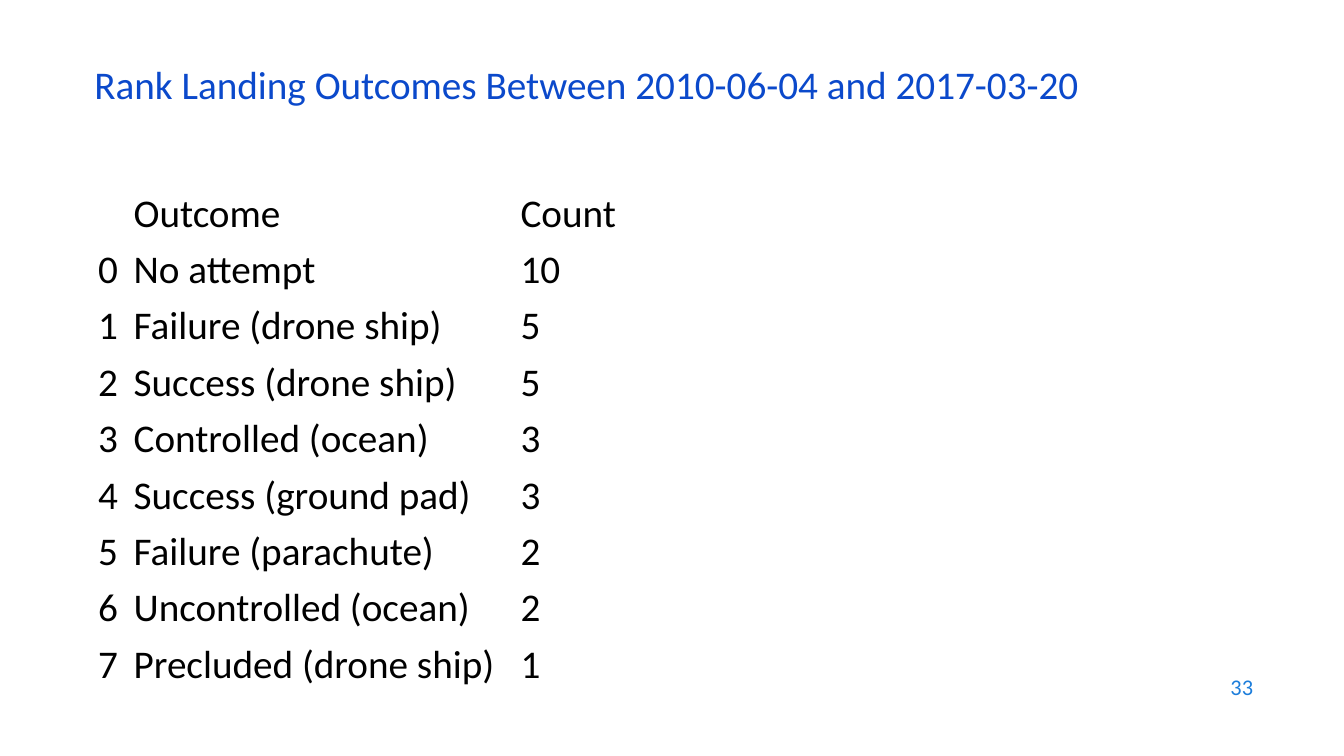
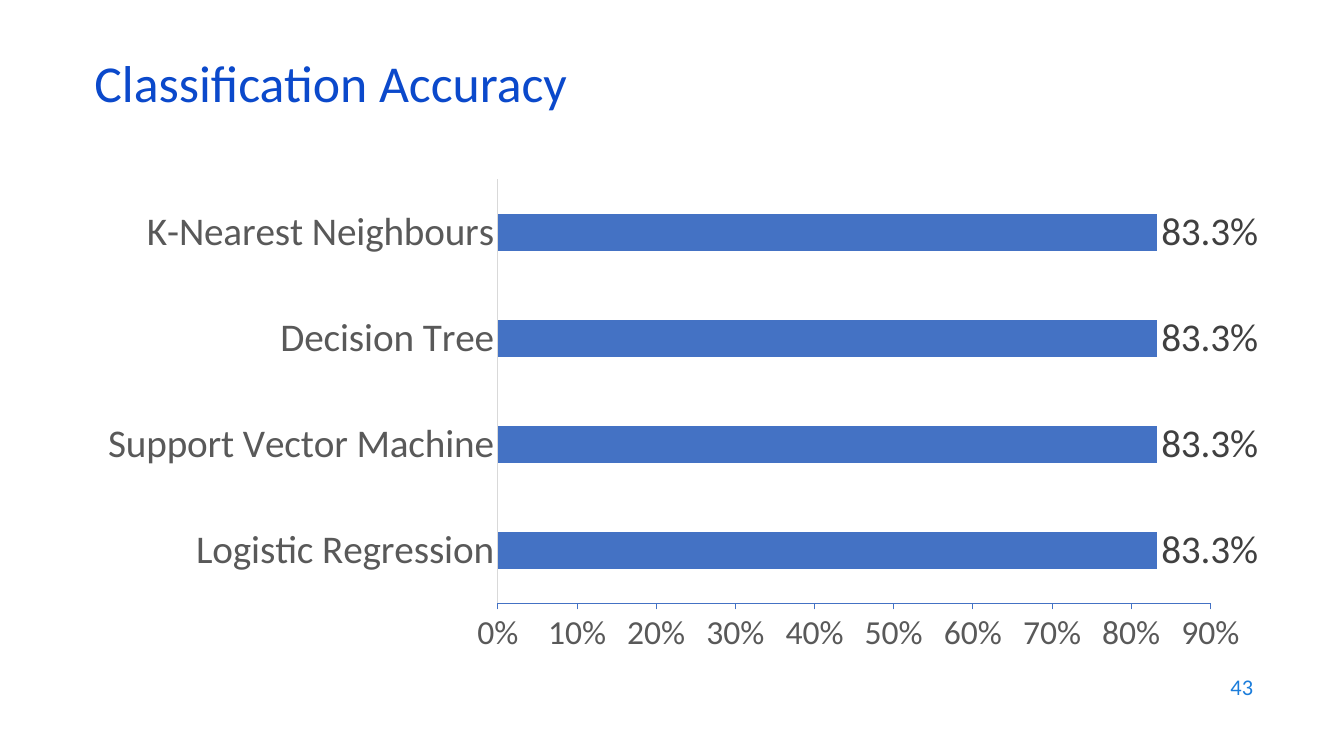
from pptx import Presentation
from pptx.chart.data import CategoryChartData
from pptx.dml.color import RGBColor
from pptx.enum.chart import XL_CHART_TYPE, XL_LABEL_POSITION, XL_TICK_MARK
from pptx.enum.text import MSO_ANCHOR, PP_ALIGN
from pptx.util import Cm, Pt

LEFT, RIGHT = PP_ALIGN.LEFT, PP_ALIGN.RIGHT
MIDDLE, BOTTOM = MSO_ANCHOR.MIDDLE, MSO_ANCHOR.BOTTOM
BAR_CLUSTERED = XL_CHART_TYPE.BAR_CLUSTERED
OUTSIDE_END = XL_LABEL_POSITION.OUTSIDE_END
TICK_NONE, TICK_OUTSIDE = XL_TICK_MARK.NONE, XL_TICK_MARK.OUTSIDE

FONT = "Calibri"
TITLE_BLUE, NUMBER_BLUE, BAR_BLUE = "0B49CB", "1C7DDB", "4472C4"
BLACK, LABEL_GREY, AXIS_GREY, AXIS_LINE = "000000", "404040", "595959", "D9D9D9"

CONTENT_LEFT, CONTENT_WIDTH = 2.13, 29.7
BODY_SIZE = 28

OUTCOME_COUNTS = [
    ("No attempt", 10),
    ("Failure (drone ship)", 5),
    ("Success (drone ship)", 5),
    ("Controlled (ocean)", 3),
    ("Success (ground pad)", 3),
    ("Failure (parachute)", 2),
    ("Uncontrolled (ocean)", 2),
    ("Precluded (drone ship)", 1),
]
MODEL_ACCURACY = {
    "Logistic Regression": 0.833,
    "Support Vector Machine": 0.833,
    "Decision Tree": 0.833,
    "K-Nearest Neighbours": 0.833,
}


def color(hex_value):
    return RGBColor.from_string(hex_value)


def apply(target, formats):
    """Set each named attribute of target to its format value."""
    for name, value in formats.items():
        setattr(target, name, value)


def style_font(font, size, hex_value):
    apply(font, {"name": FONT, "size": Pt(size), "bold": False})
    font.color.rgb = color(hex_value)


def add_text(slide, text, box, size, hex_value, **paragraph_formats):
    frame = slide.shapes.add_textbox(*map(Cm, box)).text_frame
    apply(frame, {"word_wrap": True, "vertical_anchor": MIDDLE})
    paragraph = frame.paragraphs[0]
    paragraph.text = text
    apply(paragraph, paragraph_formats)
    style_font(paragraph.font, size, hex_value)


def add_titled_slide(deck, title, title_size, number):
    slide = deck.slides.add_slide(deck.slide_layouts[6])
    add_text(slide, str(number), (24.21, 16.74, 7.62, 1.12), 16, NUMBER_BLUE,
             alignment=RIGHT)
    add_text(slide, title, (CONTENT_LEFT, 1.5, 29.21, 1.52), title_size,
             TITLE_BLUE, line_spacing=0.7)
    return slide


def fill_cell(cell, text, alignment, anchor):
    cell.fill.background()
    apply(cell, {"vertical_anchor": anchor,
                 "margin_left": Cm(0.2), "margin_right": Cm(0.2),
                 "margin_top": Cm(0.1), "margin_bottom": Cm(0.1)})
    paragraph = cell.text_frame.paragraphs[0]
    paragraph.text = text
    paragraph.alignment = alignment
    style_font(paragraph.font, BODY_SIZE, BLACK)


def add_ranking_table(slide, headers, ranking):
    """Add a plain table whose first column numbers the rows from zero."""
    rows = [("", *headers)]
    rows += [(str(rank), name, str(count))
             for rank, (name, count) in enumerate(ranking)]
    widths = [1.14, 9.75, 3.76]
    heights = [1.73] + [1.42] * len(ranking)
    table = slide.shapes.add_table(
        len(rows), len(widths), Cm(2.03), Cm(4.37),
        Cm(sum(widths)), Cm(sum(heights))).table
    apply(table, {"first_row": False, "horz_banding": False})
    for column, width in zip(table.columns, widths):
        column.width = Cm(width)
    for index, (row, height, texts) in enumerate(zip(table.rows, heights, rows)):
        row.height = Cm(height)
        anchor = MIDDLE if index else BOTTOM
        for cell, text, alignment in zip(row.cells, texts, (RIGHT, LEFT, LEFT)):
            fill_cell(cell, text, alignment, anchor)


def style_axis(axis, size, line_color, tick_mark):
    apply(axis, {"has_major_gridlines": False, "major_tick_mark": tick_mark,
                 "minor_tick_mark": TICK_NONE})
    style_font(axis.tick_labels.font, size, AXIS_GREY)
    axis.format.line.width = Pt(0.75)
    axis.format.line.color.rgb = color(line_color)


def add_accuracy_chart(slide, accuracy):
    data = CategoryChartData()
    data.categories = list(accuracy)
    data.add_series("Series 1", list(accuracy.values()))
    chart = slide.shapes.add_chart(
        BAR_CLUSTERED, Cm(CONTENT_LEFT), Cm(4.27), Cm(CONTENT_WIDTH), Cm(12.47),
        data).chart
    apply(chart, {"has_legend": False, "has_title": False})
    style_font(chart.font, 10, BLACK)

    style_axis(chart.category_axis, BODY_SIZE, AXIS_LINE, TICK_NONE)
    style_axis(chart.value_axis, 24, BAR_BLUE, TICK_OUTSIDE)
    apply(chart.value_axis, {"minimum_scale": 0, "maximum_scale": 0.9,
                             "major_unit": 0.1})
    apply(chart.value_axis.tick_labels,
          {"number_format": "0%", "number_format_is_linked": False})

    plot = chart.plots[0]
    apply(plot, {"gap_width": 182, "vary_by_categories": False})
    bars = plot.series[0]
    bars.format.fill.solid()
    bars.format.fill.fore_color.rgb = color(BAR_BLUE)
    apply(bars.data_labels, {"show_value": True, "position": OUTSIDE_END,
                             "number_format": "0.0%",
                             "number_format_is_linked": False})
    style_font(bars.data_labels.font, BODY_SIZE, LABEL_GREY)


def main():
    deck = Presentation()
    apply(deck, {"slide_width": Cm(33.87), "slide_height": Cm(19.05)})

    outcomes = add_titled_slide(
        deck, "Rank Landing Outcomes Between 2010-06-04 and 2017-03-20", 28, 33)
    add_ranking_table(outcomes, ("Outcome", "Count"), OUTCOME_COUNTS)

    classification = add_titled_slide(deck, "Classification Accuracy", 37, 43)
    add_accuracy_chart(classification, MODEL_ACCURACY)

    deck.save("out.pptx")


if __name__ == "__main__":
    main()
